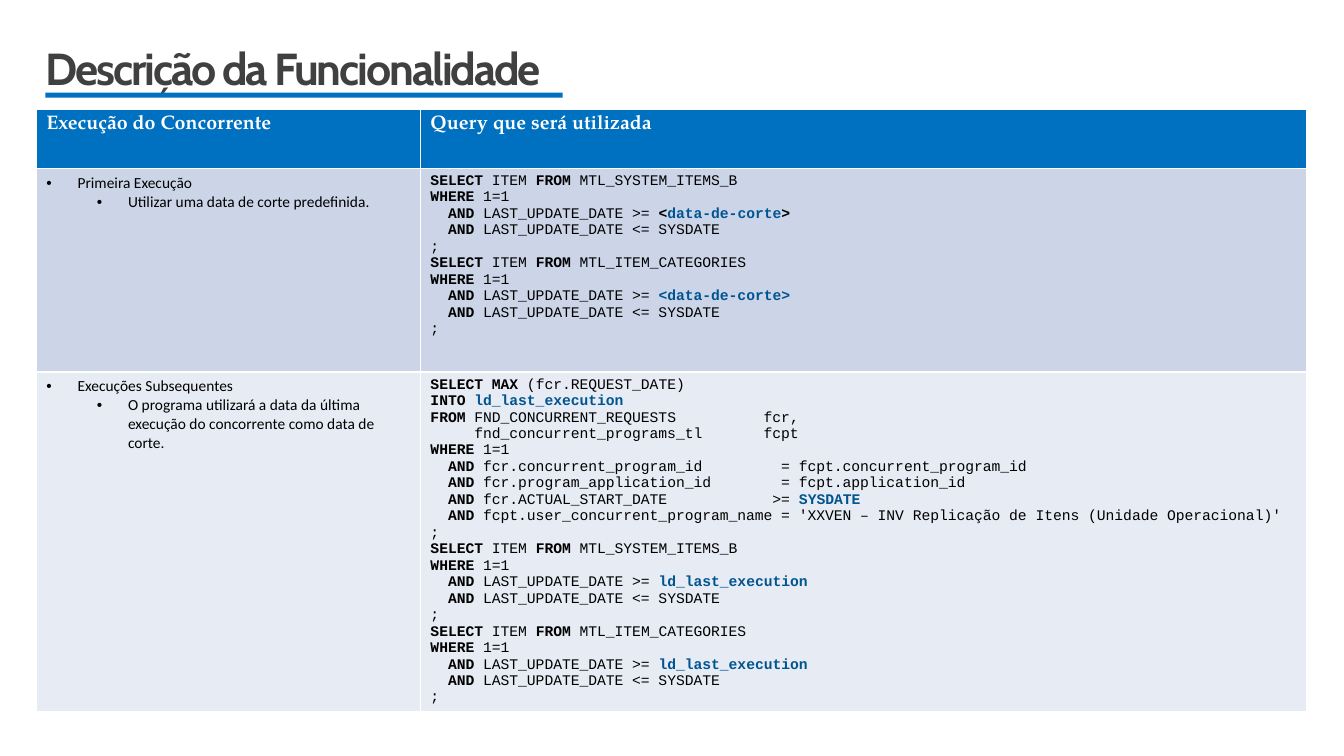
from dataclasses import dataclass

from lxml import etree
from pptx import Presentation
from pptx import util as u
from pptx.dml import color
from pptx.enum import shapes, text
from pptx.oxml import ns


@dataclass(frozen=True)
class Theme:
    """Colours, fonts and type sizes of the slide."""
    blue: str = "0070C0"
    highlight: str = "005490"
    grey: str = "404040"
    black: str = "000000"
    white: str = "FFFFFF"
    bands: tuple = ("CCD5E8", "E7EBF4")
    title_font: str = "Cabin"
    header_font: str = "TeX Gyre Pagella"
    body_font: str = "Calibri"
    code_font: str = "Courier New"
    title_size: float = 32
    header_size: float = 14
    body_size: float = 11
    code_size: float = 10.5


THEME = Theme()
HEADERS = ["Execução do Concorrente", "Query que será utilizada"]
COLUMN_WIDTHS = [3.81, 8.79]
ROW_HEIGHTS = [0.58, 2.02, 3.36]


def item_query(table_name, cutoff):
    """Return the marked-up lines that select items updated since the cutoff."""
    return [
        f"*SELECT* ITEM *FROM* {table_name}",
        "*WHERE* 1=1",
        f"  *AND* LAST_UPDATE_DATE >= {cutoff}",
        "  *AND* LAST_UPDATE_DATE <= SYSDATE",
        ";",
    ]


FIRST_QUERY = (item_query("MTL_SYSTEM_ITEMS_B", "*<**^data-de-corte**>*")
               + item_query("MTL_ITEM_CATEGORIES", "*^<data-de-corte>*"))
NEXT_QUERY = [
    "*SELECT MAX *(fcr.REQUEST_DATE)",
    "*INTO **^ld_last_execution*",
    "*FROM*" + " FND_CONCURRENT_REQUESTS".ljust(34) + "fcr,",
    "     " + "fnd_concurrent_programs_tl".ljust(33) + "fcpt",
    "*WHERE* 1=1",
    "  *AND *" + "fcr.concurrent_program_id".ljust(34) + "= fcpt.concurrent_program_id",
    "  *AND *" + "fcr.program_application_id".ljust(34) + "= fcpt.application_id",
    "  *AND *" + "fcr.ACTUAL_START_DATE".ljust(33) + ">= *^SYSDATE*",
    "  *AND *fcpt.user_concurrent_program_name = "
    "'XXVEN – INV Replicação de Itens (Unidade Operacional)'",
    ";",
    *item_query("MTL_SYSTEM_ITEMS_B", "*^ld_last_execution*"),
    *item_query("MTL_ITEM_CATEGORIES", "*^ld_last_execution*"),
]
EXECUTIONS = [
    (["Primeira Execução", "Utilizar uma data de corte predefinida."],
     FIRST_QUERY, text.PP_ALIGN.JUSTIFY),
    (["Execuções Subsequentes",
      "O programa utilizará a data da última execução do concorrente como data de corte."],
     NEXT_QUERY, text.PP_ALIGN.LEFT),
]


def format_run(run, font, size, rgb, bold=False):
    """Apply font, size, colour and weight to a run."""
    run.font.name = font
    run.font.size = u.Pt(size)
    run.font.color.rgb = color.RGBColor.from_string(rgb)
    run.font.bold = bold


def fill_solid(target, rgb):
    """Fill a shape or cell with one colour."""
    target.fill.solid()
    target.fill.fore_color.rgb = color.RGBColor.from_string(rgb)


def paragraphs_for(text_frame, lines):
    """Yield one paragraph with its content for each line."""
    for index, line in enumerate(lines):
        yield (text_frame.add_paragraph() if index else text_frame.paragraphs[0]), line


def write_bullets(cell, lines):
    """Write lines as bullets, each one level deeper than the last."""
    for level, (paragraph, line) in enumerate(paragraphs_for(cell.text_frame, lines)):
        paragraph.text = line
        paragraph.level = level
        format_run(paragraph.runs[0], THEME.body_font, THEME.body_size, THEME.black)
        properties = paragraph._p.get_or_add_pPr()
        properties.set("marL", str(u.Inches(0.31 + 0.5 * level)))
        properties.set("indent", str(u.Inches(-0.31)))
        etree.SubElement(properties, ns.qn("a:buFont")).set("typeface", "Arial")
        etree.SubElement(properties, ns.qn("a:buChar")).set("char", "•")


def write_code(cell, lines, alignment):
    """Write code lines, where *text* is bold and *^text* is highlighted."""
    for paragraph, line in paragraphs_for(cell.text_frame, lines):
        paragraph.alignment = alignment
        for index, part in enumerate(line.split("*")):
            if part:
                run = paragraph.add_run()
                run.text = part.removeprefix("^")
                rgb = THEME.highlight if part.startswith("^") else THEME.black
                format_run(run, THEME.code_font, THEME.code_size, rgb, index % 2 == 1)


def add_title(slide, left, top, width, height):
    """Place the title and the bar beneath it."""
    title = slide.shapes.title
    title.left, title.top, title.width, title.height = map(
        u.Inches, (left, top, width, height))
    frame = title.text_frame
    frame.text = "Descrição da Funcionalidade"
    frame.auto_size = text.MSO_AUTO_SIZE.NONE
    frame.vertical_anchor = text.MSO_ANCHOR.MIDDLE
    frame.margin_left = frame.margin_top = frame.margin_right = frame.margin_bottom = 0
    paragraph = frame.paragraphs[0]
    paragraph.alignment = text.PP_ALIGN.LEFT
    paragraph.line_spacing = 0.9
    run = paragraph.runs[0]
    format_run(run, THEME.title_font, THEME.title_size, THEME.grey, True)
    run._r.get_or_add_rPr().set("spc", "-150")

    bar = slide.shapes.add_shape(
        shapes.MSO_SHAPE.RECTANGLE, u.Inches(left), u.Inches(top + 0.45),
        u.Inches(5.13), u.Inches(0.05))
    bar.shadow.inherit = False
    bar.line.fill.background()
    fill_solid(bar, THEME.blue)


def add_execution_table(slide, left, top, width, height):
    """Place the table of executions and their queries."""
    table = slide.shapes.add_table(
        len(ROW_HEIGHTS), len(COLUMN_WIDTHS), u.Inches(left), u.Inches(top),
        u.Inches(width), u.Inches(height)).table
    for column, share in zip(table.columns, COLUMN_WIDTHS):
        column.width = u.Inches(width * share / sum(COLUMN_WIDTHS))
    for row, share in zip(table.rows, ROW_HEIGHTS):
        row.height = u.Inches(height * share / sum(ROW_HEIGHTS))

    for cell, heading in zip(table.rows[0].cells, HEADERS):
        cell.text_frame.text = heading
        fill_solid(cell, THEME.blue)
        format_run(cell.text_frame.paragraphs[0].runs[0], THEME.header_font,
                   THEME.header_size, THEME.white, True)

    for index, (bullets, query, alignment) in enumerate(EXECUTIONS):
        description_cell, query_cell = table.rows[index + 1].cells
        write_bullets(description_cell, bullets)
        write_code(query_cell, query, alignment)
        for cell in (description_cell, query_cell):
            fill_solid(cell, THEME.bands[index])


def main():
    """Build and save the presentation."""
    presentation = Presentation()
    presentation.slide_width = u.Inches(13.33)
    presentation.slide_height = u.Inches(7.5)
    slide = presentation.slides.add_slide(presentation.slide_layouts.get_by_name("Title Only"))
    add_title(slide, 0.45, 0.47, 12.4, 0.47)
    add_execution_table(slide, 0.36, 1.09, sum(COLUMN_WIDTHS), sum(ROW_HEIGHTS))
    presentation.save("out.pptx")


if __name__ == "__main__":
    main()
